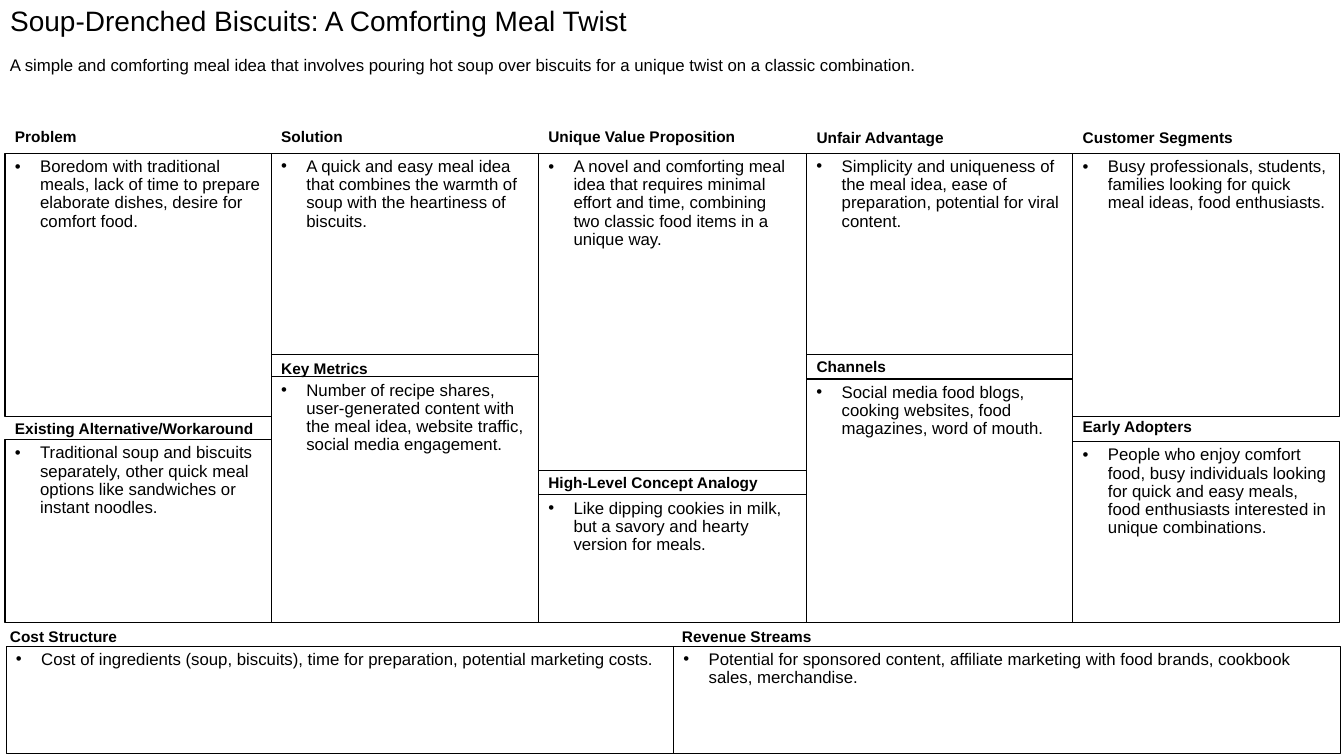
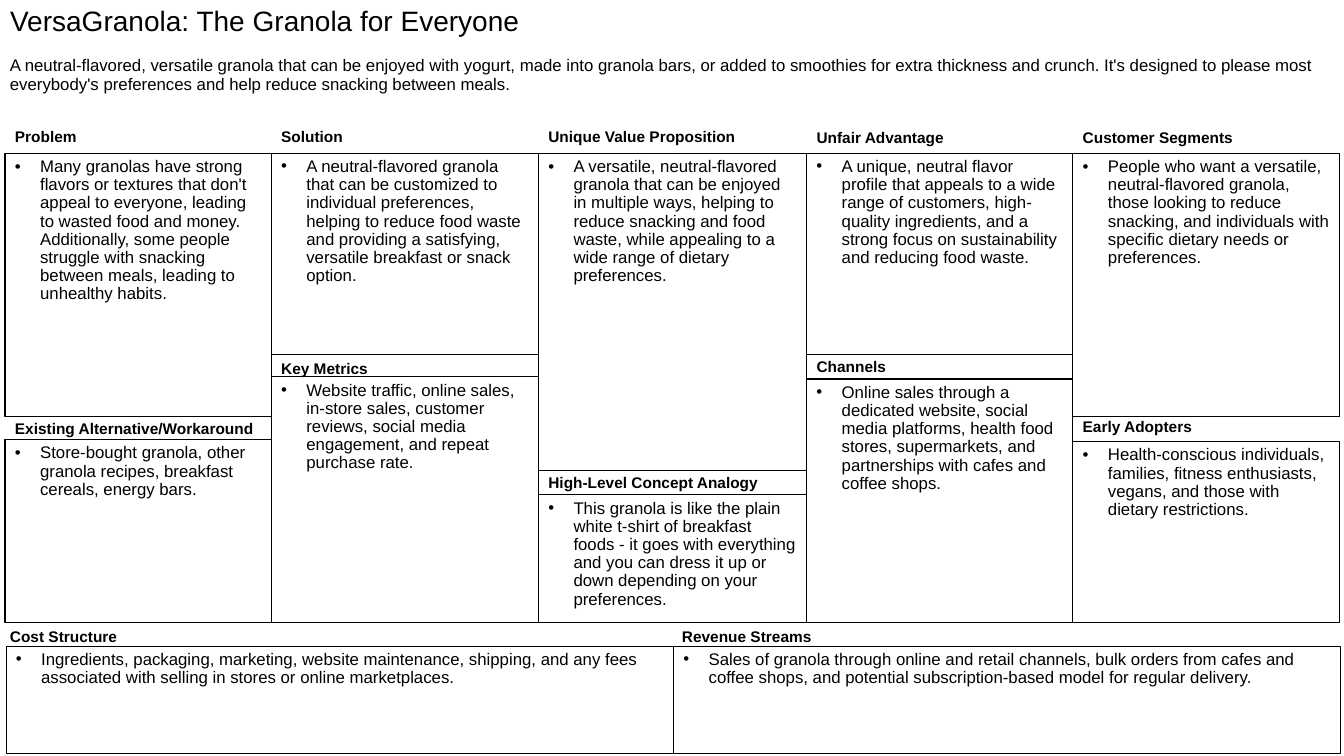
from lxml import etree
from pptx import Presentation
from pptx import util as u
from pptx.dml.color import RGBColor
from pptx.enum import shapes, text
from pptx.oxml.ns import qn

INK = RGBColor(0, 0, 0)
WIDE, HIGH = 13.33, 7.5
LABEL = 0.2  # height of a label strip

# Text styles
HEAD = {"name": "Arial", "size": u.Pt(20), "bold": False}
BODY = {"name": "Arial", "size": u.Pt(12), "bold": False}
TAG = {"name": "Arial", "size": u.Pt(11), "bold": True}
FRAME = {"word_wrap": True, "auto_size": text.MSO_AUTO_SIZE.NONE,
         "vertical_anchor": text.MSO_ANCHOR.TOP}
STRIP = {**FRAME, "vertical_anchor": text.MSO_ANCHOR.MIDDLE,
         "margin_top": 0, "margin_right": 0, "margin_bottom": 0}

# Canvas grid: column edges, and the rows where boxes start and end
EDGES = (0.05, 2.69, 5.34, 8, 10.64, 13.29)
TOP, BASE = 1.52, 6.18
# Upper label, lower label, and per column: first label top,
# end of the upper box, second label top, start of the lower box
COLS = [
    ("Problem", "Existing Alternative/Workaround", 1.25, 4.13, 4.15, 4.36),
    ("Solution", "Key Metrics", 1.25, 3.52, 3.55, 3.74),
    ("Unique Value Proposition", "High-Level Concept Analogy",
     1.25, 4.67, 4.69, 4.91),
    ("Unfair Advantage", "Channels", 1.26, 3.52, 3.53, 3.76),
    ("Customer Segments", "Early Adopters", 1.26, 4.13, 4.13, 4.38),
]

# Every cell: label, label left, label top, box left, top, width, height
CELLS = []
for i, (one, two, tag1, end, tag2, start) in enumerate(COLS):
    left, wide = EDGES[i], EDGES[i + 1] - EDGES[i]
    CELLS.append((one, left, tag1, left, TOP, wide, end - TOP))
    CELLS.append((two, left, tag2, left, start, wide, BASE - start))
for i, name in enumerate(("Cost Structure", "Revenue Streams")):
    CELLS.append((name, i * WIDE / 2, 6.21, 0.06 + i * 6.62, 6.41, 6.62, 1.07))

# Wording: title, summary, then one text per cell in the order above
PAGES = [
    ("Soup-Drenched Biscuits: A Comforting Meal Twist",
     "A simple and comforting meal idea that involves pouring hot soup over "
     "biscuits for a unique twist on a classic combination.",
     ["Boredom with traditional meals, lack of time to prepare elaborate "
      "dishes, desire for comfort food.",
      "Traditional soup and biscuits separately, other quick meal options "
      "like sandwiches or instant noodles.",
      "A quick and easy meal idea that combines the warmth of soup with the "
      "heartiness of biscuits.",
      "Number of recipe shares, user-generated content with the meal idea, "
      "website traffic, social media engagement.",
      "A novel and comforting meal idea that requires minimal effort and "
      "time, combining two classic food items in a unique way.",
      "Like dipping cookies in milk, but a savory and hearty version for "
      "meals.",
      "Simplicity and uniqueness of the meal idea, ease of preparation, "
      "potential for viral content.",
      "Social media food blogs, cooking websites, food magazines, word of "
      "mouth.",
      "Busy professionals, students, families looking for quick meal ideas, "
      "food enthusiasts.",
      "People who enjoy comfort food, busy individuals looking for quick and "
      "easy meals, food enthusiasts interested in unique combinations.",
      "Cost of ingredients (soup, biscuits), time for preparation, potential "
      "marketing costs.",
      "Potential for sponsored content, affiliate marketing with food "
      "brands, cookbook sales, merchandise."]),
    ("VersaGranola: The Granola for Everyone",
     "A neutral-flavored, versatile granola that can be enjoyed with yogurt, "
     "made into granola bars, or added to smoothies for extra thickness and "
     "crunch. It's designed to please most everybody's preferences and help "
     "reduce snacking between meals.",
     ["Many granolas have strong flavors or textures that don't appeal to "
      "everyone, leading to wasted food and money. Additionally, some people "
      "struggle with snacking between meals, leading to unhealthy habits.",
      "Store-bought granola, other granola recipes, breakfast cereals, "
      "energy bars.",
      "A neutral-flavored granola that can be customized to individual "
      "preferences, helping to reduce food waste and providing a satisfying, "
      "versatile breakfast or snack option.",
      "Website traffic, online sales, in-store sales, customer reviews, "
      "social media engagement, and repeat purchase rate.",
      "A versatile, neutral-flavored granola that can be enjoyed in multiple "
      "ways, helping to reduce snacking and food waste, while appealing to a "
      "wide range of dietary preferences.",
      "This granola is like the plain white t-shirt of breakfast foods - it "
      "goes with everything and you can dress it up or down depending on "
      "your preferences.",
      "A unique, neutral flavor profile that appeals to a wide range of "
      "customers, high-quality ingredients, and a strong focus on "
      "sustainability and reducing food waste.",
      "Online sales through a dedicated website, social media platforms, "
      "health food stores, supermarkets, and partnerships with cafes and "
      "coffee shops.",
      "People who want a versatile, neutral-flavored granola, those looking "
      "to reduce snacking, and individuals with specific dietary needs or "
      "preferences.",
      "Health-conscious individuals, families, fitness enthusiasts, vegans, "
      "and those with dietary restrictions.",
      "Ingredients, packaging, marketing, website maintenance, shipping, and "
      "any fees associated with selling in stores or online marketplaces.",
      "Sales of granola through online and retail channels, bulk orders from "
      "cafes and coffee shops, and potential subscription-based model for "
      "regular delivery."]),
]


def inch(*vals):
    return [u.Inches(v) for v in vals]


def write(shape, words, font, frame=FRAME, gap=0.9):
    """Put one left-aligned paragraph in a shape and return it."""
    for key, val in frame.items():
        setattr(shape.text_frame, key, val)
    para = shape.text_frame.paragraphs[0]
    para.alignment, para.line_spacing = text.PP_ALIGN.LEFT, gap
    run = para.add_run()
    run.text = words
    for key, val in font.items():
        setattr(run.font, key, val)
    run.font.color.rgb = INK
    return para


deck = Presentation()
deck.slide_width, deck.slide_height = inch(WIDE, HIGH)

for head, lead, notes in PAGES:
    slide = deck.slides.add_slide(deck.slide_layouts[5])
    pen = slide.shapes

    # Title and summary
    title = pen.title
    title.left, title.top, title.width, title.height = inch(0, 0.02, WIDE, 0.51)
    write(title, head, HEAD)
    write(pen.add_textbox(*inch(0, 0.52, WIDE, 0.63)), lead, BODY)

    # Canvas cells: a label strip and an outlined box with a bullet
    for (name, tagx, tagy, *area), note in zip(CELLS, notes):
        tag = pen.add_textbox(*inch(tagx, tagy, 2.65, LABEL))
        write(tag, name, TAG, STRIP, 1.0)

        box = pen.add_shape(shapes.MSO_SHAPE.RECTANGLE, *inch(*area))
        box.shadow.inherit = False
        box.fill.background()
        box.line.color.rgb, box.line.width = INK, u.Pt(0.75)
        props = write(box, note, BODY)._p.get_or_add_pPr()
        props.set("marL", str(u.Inches(0.25)))
        props.set("indent", str(u.Inches(-0.25)))
        etree.SubElement(props, qn("a:buFont"), typeface="Arial")
        etree.SubElement(props, qn("a:buChar"), char="•")

deck.save("out.pptx")
